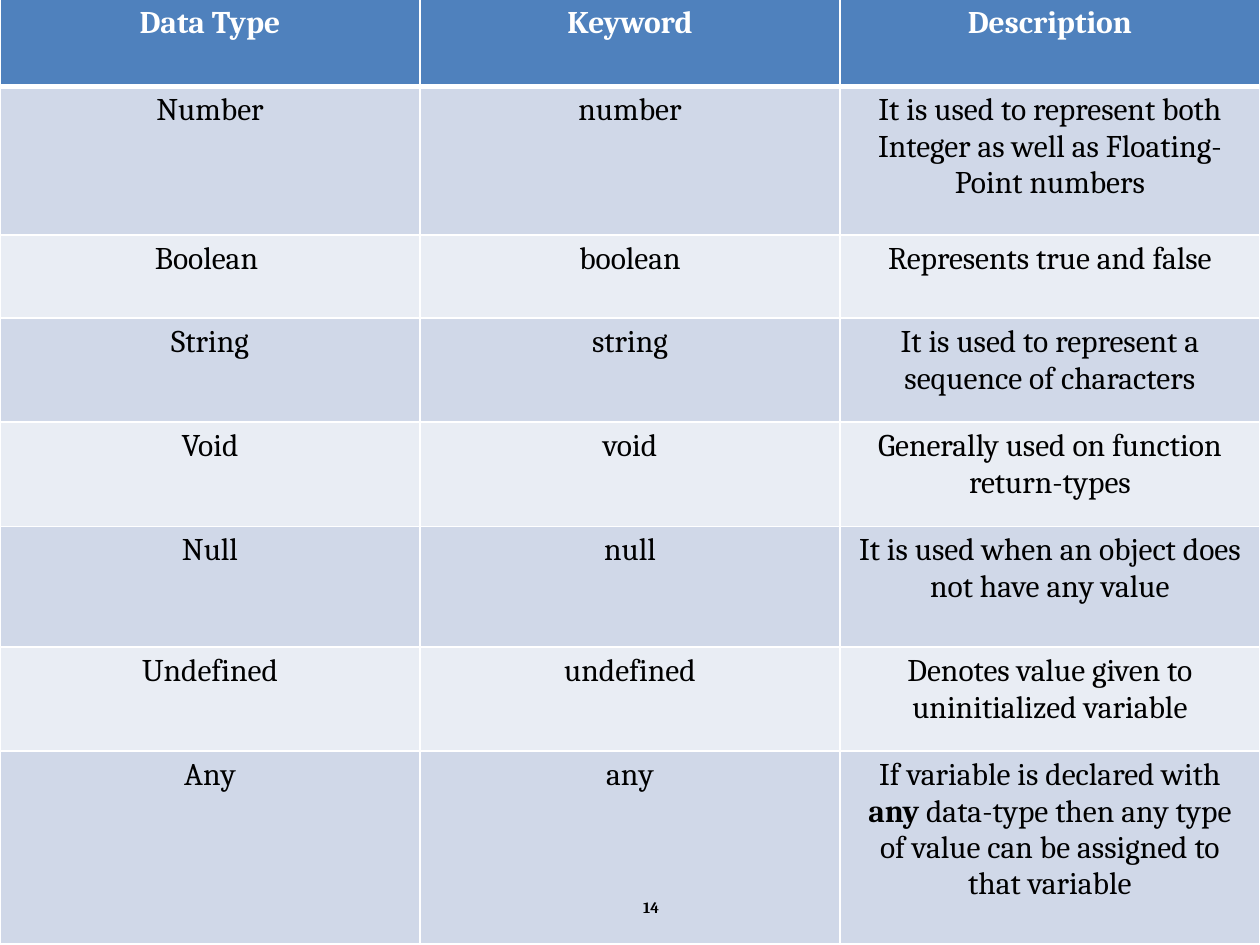
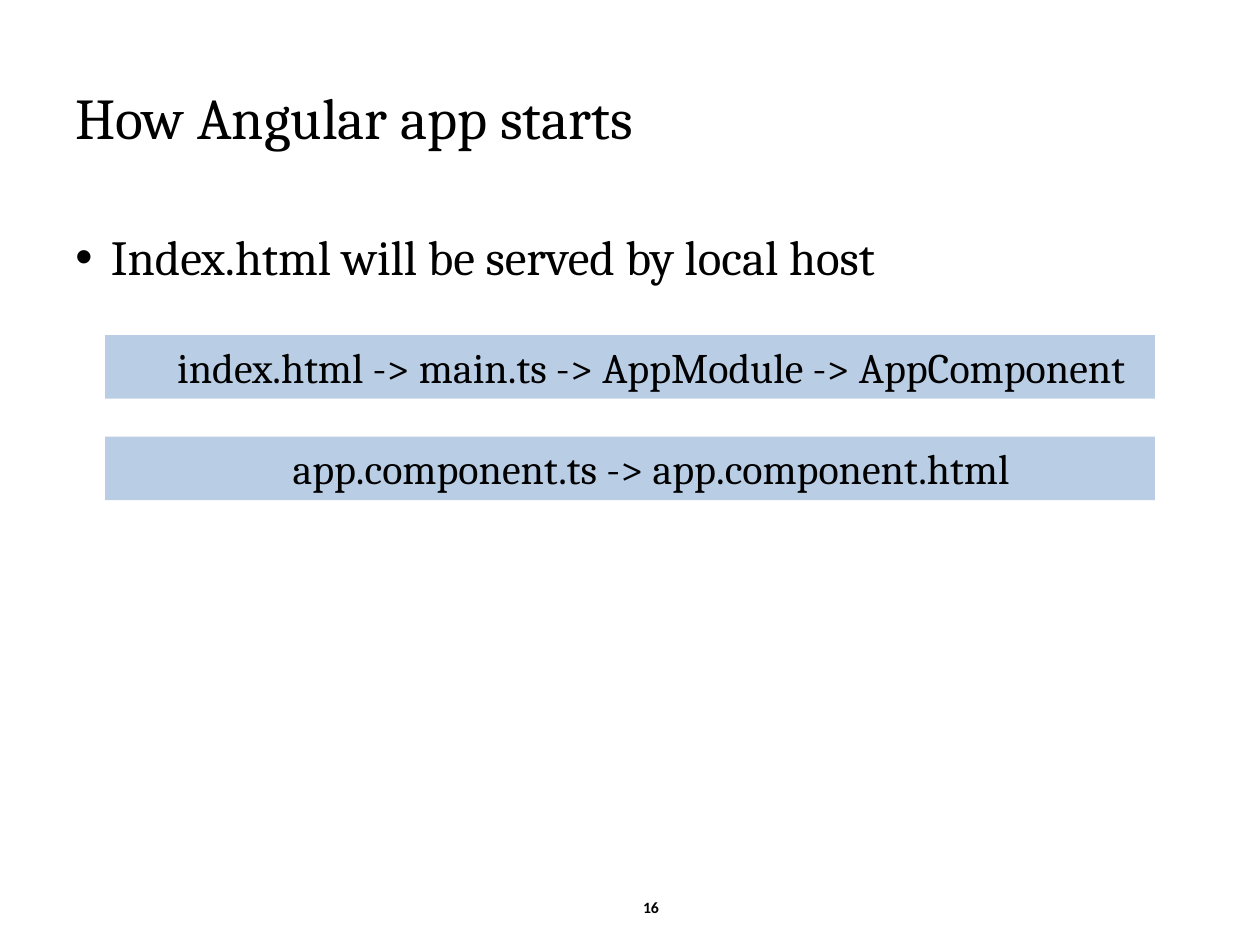
from lxml.etree import SubElement
from pptx import Presentation
from pptx.dml.color import RGBColor
from pptx.enum.shapes import MSO_SHAPE as SHAPE
from pptx.enum.text import MSO_ANCHOR as ANCHOR, MSO_AUTO_SIZE as AUTOSIZE, PP_ALIGN as ALIGN
from pptx.oxml.ns import qn
from pptx.util import Pt

BLACK, WHITE = "000000", "FFFFFF"
HEADER, BANDS = "4F81BD", ("E9EDF4", "D0D8E8")
FLOW_FILL = "B9CDE5"
FONT = "Cambria"


def rgb(value):
    return RGBColor.from_string(value)


def style(p, size, color=BLACK, bold=False, align=ALIGN.CENTER, font=FONT):
    p.alignment = align
    for r in p.runs:
        r.font.name = font
        r.font.size = Pt(size)
        r.font.bold = bold
        r.font.color.rgb = rgb(color)


prs = Presentation()
prs.slide_width, prs.slide_height = Pt(720), Pt(540)
blank = prs.slide_layouts[6]
types_slide = prs.slides.add_slide(blank)
start_slide = prs.slides.add_slide(blank)

rows = [
    ("Data Type", "Keyword", "Description"),
    ("Number", "number", "It is used to represent both Integer as well as Floating-Point numbers"),
    ("Boolean ", "boolean", "Represents true and false"),
    ("String", "string", "It is used to represent a sequence of characters"),
    ("Void", "void", "Generally used on function return-types"),
    ("Null", "null", "It is used when an object does not have any value"),
    ("Undefined", "undefined", "Denotes value given to uninitialized variable"),
    ("Any", "any", "If variable is declared with |any| data-type then any type of value can be assigned to that variable"),
]
heights = [50, 85, 47.5, 59.5, 59.5, 69, 59.5, 110]

table = types_slide.shapes.add_table(len(rows), 3, Pt(0), Pt(-0.7), Pt(720), Pt(540)).table
for i, (row, height) in enumerate(zip(rows, heights)):
    table.rows[i].height = Pt(height)
    for j, text in enumerate(row):
        cell = table.cell(i, j)
        tcPr = cell._tc.get_or_add_tcPr()
        for side in ("lnL", "lnR", "lnT", "lnB"):
            thick = (i, side) in ((0, "lnB"), (1, "lnT"))
            ln = SubElement(tcPr, qn(f"a:{side}"), w=str(Pt(3 if thick else 1)))
            SubElement(SubElement(ln, qn("a:solidFill")), qn("a:srgbClr"), val=WHITE)
        cell.fill.solid()
        cell.fill.fore_color.rgb = rgb(BANDS[i % 2] if i else HEADER)
        p = cell.text_frame.paragraphs[0]
        for part in text.split("|"):
            p.add_run().text = part
        style(p, 18, BLACK if i else WHITE, bold=i == 0)
table.cell(7, 2).text_frame.paragraphs[0].runs[1].font.bold = True

title = start_slide.shapes.add_textbox(Pt(36), Pt(21.6), Pt(648), Pt(90))
tf = title.text_frame
tf.word_wrap = True
tf.vertical_anchor = ANCHOR.MIDDLE
tf.text = "How Angular app starts"
style(tf.paragraphs[0], 33, align=ALIGN.LEFT)

body = start_slide.shapes.add_textbox(Pt(36), Pt(126), Pt(648), Pt(356.4))
tf = body.text_frame
tf.word_wrap = True
tf.text = "Index.html will be served by local host"
p = tf.paragraphs[0]
p.space_before = Pt(5.6)
style(p, 28, align=ALIGN.LEFT)
pPr = p._p.get_or_add_pPr()
pPr.set("marL", str(Pt(20.25)))
pPr.set("indent", str(Pt(-20.25)))
SubElement(pPr, qn("a:buFont"), typeface="Arial")
SubElement(pPr, qn("a:buChar"), char="•")

for s, number, font in ((types_slide, "14", FONT), (start_slide, "16", "Calibri")):
    sp = s.shapes.add_textbox(Pt(288), Pt(504), Pt(168), Pt(28.8))
    tf = sp.text_frame
    tf.word_wrap = True
    tf.vertical_anchor = ANCHOR.MIDDLE
    tf.text = number
    style(tf.paragraphs[0], 9, bold=True, font=font)

flows = [
    "index.html -> main.ts -> AppModule -> AppComponent",
    "app.component.ts -> app.component.html",
]
for i, flow in enumerate(flows):
    sp = start_slide.shapes.add_shape(SHAPE.RECTANGLE, Pt(60), Pt(191.5 + 58 * i), Pt(600), Pt(36.35))
    sp.shadow.inherit = False
    sp.fill.solid()
    sp.fill.fore_color.rgb = rgb(FLOW_FILL)
    sp.line.fill.background()
    tf = sp.text_frame
    tf.word_wrap = True
    tf.auto_size = AUTOSIZE.SHAPE_TO_FIT_TEXT
    tf.vertical_anchor = ANCHOR.TOP
    tf.text = flow
    p = tf.paragraphs[0]
    p.level = 1
    p._p.get_or_add_pPr().set("marL", str(Pt(24)))
    style(p, 24)

prs.save("out.pptx")
